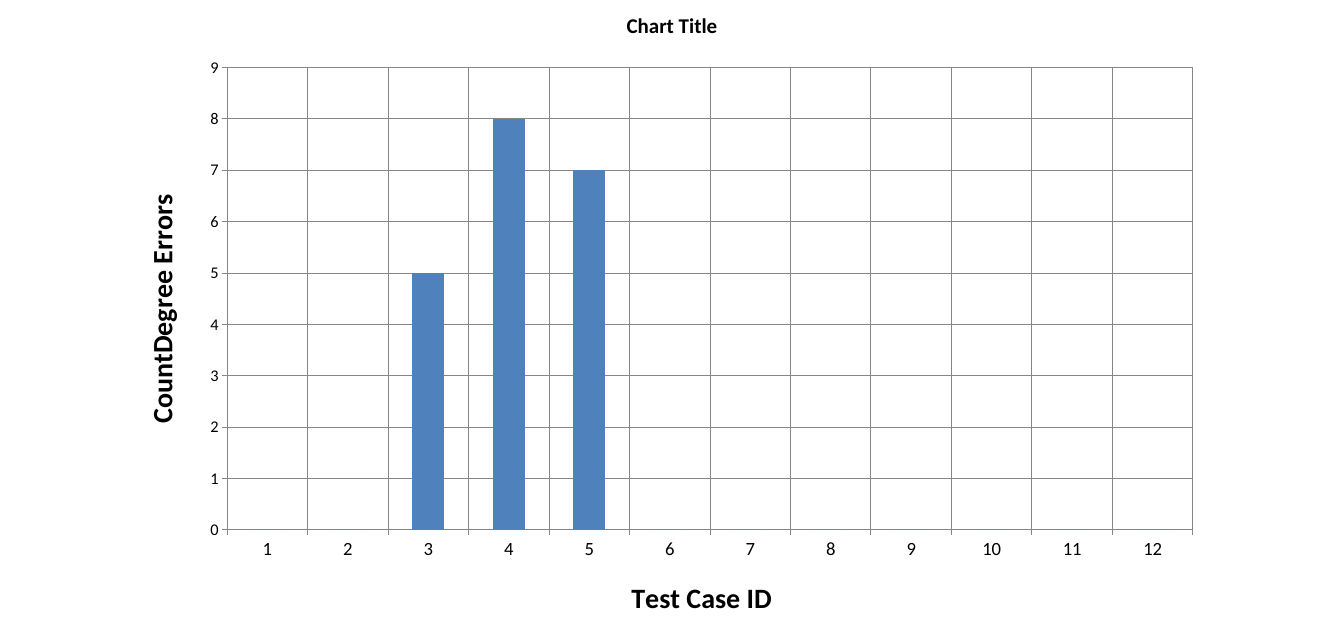
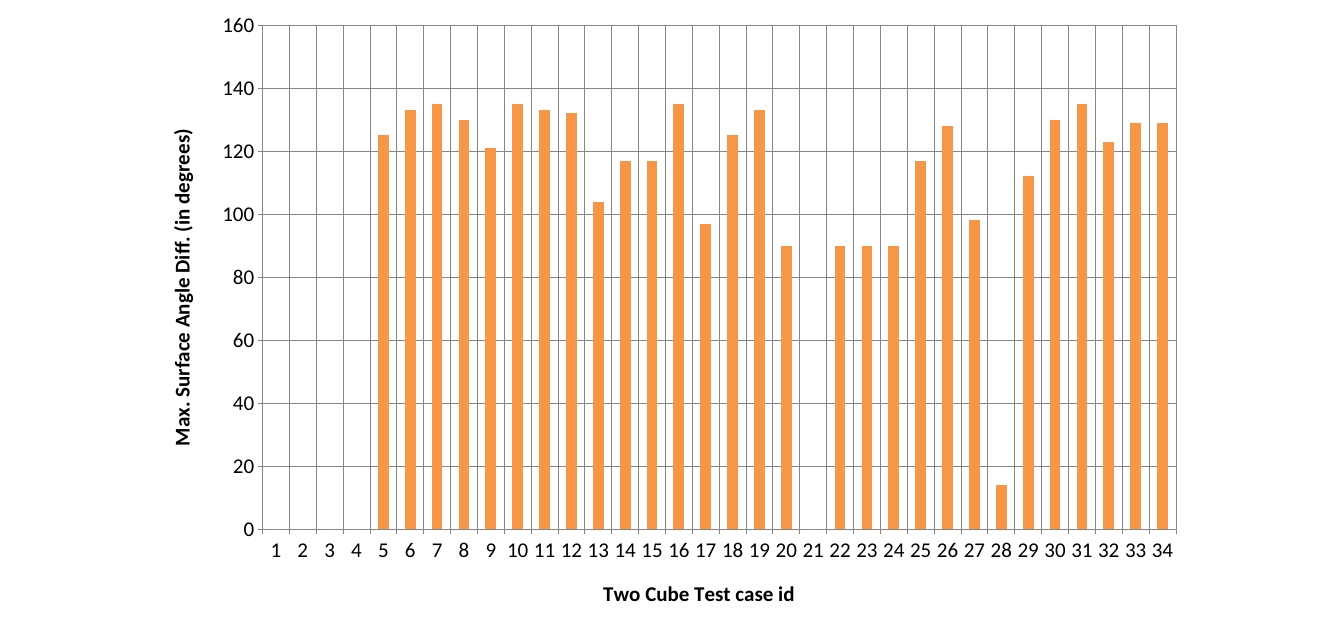
from dataclasses import dataclass
from typing import Optional

from pptx import Presentation
from pptx.chart.data import CategoryChartData
from pptx.dml.color import RGBColor
from pptx.enum.chart import XL_CHART_TYPE, XL_TICK_MARK
from pptx.oxml import parse_xml
from pptx.oxml.ns import nsdecls, qn
from pptx.util import Inches, Pt


# Colours and type sizes
@dataclass(frozen=True)
class Theme:
    font: str = "Calibri"
    ink: str = "000000"
    grid: str = "868686"
    blue: str = "4F81BD"
    orange: str = "F79646"
    line: float = 0.75
    small: int = 14
    label: int = 16
    text: int = 18
    large: int = 24


THEME = Theme()

# Slide grid: 64 columns by 60 rows
WIDTH, HEIGHT = Inches(16), Inches(7.5)
COL, ROW = WIDTH / 64, HEIGHT / 60


@dataclass(frozen=True)
class Axis:
    title: str
    title_size: int
    size: int


@dataclass(frozen=True)
class Graph:
    place: tuple[float, float, float, float]  # columns and rows
    plot: tuple[float, float, float, float]  # shares of the chart
    cases: Axis
    values: Axis
    top: int
    step: int
    color: str
    data: tuple[int, ...]
    title: Optional[str] = None


GRAPHS = (
    Graph(
        place=(6.16, -1, 51.68, 62),
        plot=(0.09, 0.12, 0.89, 0.71),
        cases=Axis("Test Case ID", THEME.large, THEME.label),
        values=Axis("CountDegree Errors", THEME.large, THEME.small),
        top=9,
        step=1,
        color=THEME.blue,
        data=(0, 0, 5, 8, 7, 0, 0, 0, 0, 0, 0, 0),
        title="Chart Title",
    ),
    Graph(
        place=(7, 0, 50, 60),
        plot=(0.11, 0.04, 0.87, 0.8),
        cases=Axis("Two Cube Test case id", THEME.text, THEME.text),
        values=Axis("Max. Surface Angle Diff. (in degrees)", THEME.text, THEME.text),
        top=160,
        step=20,
        color=THEME.orange,
        data=(0, 0, 0, 0, 125, 133, 135, 130, 121, 135, 133, 132,
              104, 117, 117, 135, 97, 125, 133, 90, 0, 90, 90, 90,
              117, 128, 98, 14, 112, 130, 135, 123, 129, 129),
    ),
)


def set_font(font, size: int, bold: bool = False) -> None:
    font.name = THEME.font
    font.size = Pt(size)
    font.bold = bold
    font.color.rgb = RGBColor.from_string(THEME.ink)


def set_title(owner, text: str, size: int) -> None:
    run = owner.text_frame.paragraphs[0].add_run()
    run.text = text
    set_font(run.font, size, bold=True)


def set_line(line) -> None:
    line.color.rgb = RGBColor.from_string(THEME.grid)
    line.width = Pt(THEME.line)


def style_axis(axis, look: Axis) -> None:
    axis.has_major_gridlines = True
    axis.major_tick_mark = XL_TICK_MARK.OUTSIDE
    axis.minor_tick_mark = XL_TICK_MARK.NONE
    set_line(axis.major_gridlines.format.line)
    set_line(axis.format.line)
    set_font(axis.tick_labels.font, look.size)
    set_title(axis.axis_title, look.title, look.title_size)


def place_plot(chart, shares: tuple[float, float, float, float]) -> None:
    """Fix the inner plot area, which needs XML."""
    area = chart._chartSpace.chart.plotArea
    for old in area.findall(qn("c:layout")):
        area.remove(old)
    sides = "".join(f'<c:{tag} val="{share}"/>' for tag, share in zip("xywh", shares))
    area.insert(0, parse_xml(
        f'<c:layout {nsdecls("c")}><c:manualLayout><c:layoutTarget val="inner"/>'
        f'<c:xMode val="edge"/><c:yMode val="edge"/>{sides}'
        "</c:manualLayout></c:layout>"
    ))


def draw_graph(slide, graph: Graph) -> None:
    # Data and frame
    data = CategoryChartData()
    data.categories = [str(n) for n in range(1, len(graph.data) + 1)]
    data.add_series("Series 1", graph.data)
    left, top, width, height = graph.place
    chart = slide.shapes.add_chart(
        XL_CHART_TYPE.COLUMN_CLUSTERED,
        round(left * COL), round(top * ROW), round(width * COL), round(height * ROW),
        data,
    ).chart
    set_font(chart.font, THEME.text)
    chart.has_legend = False
    chart.has_title = graph.title is not None
    if graph.title:
        set_title(chart.chart_title, graph.title, THEME.text)

    # Axes
    style_axis(chart.category_axis, graph.cases)
    style_axis(chart.value_axis, graph.values)
    chart.value_axis.minimum_scale = 0
    chart.value_axis.maximum_scale = graph.top
    chart.value_axis.major_unit = graph.step

    # Bars
    bars = chart.plots[0]
    bars.gap_width = 150
    bars.vary_by_categories = False
    fill = bars.series[0].format.fill
    fill.solid()
    fill.fore_color.rgb = RGBColor.from_string(graph.color)
    place_plot(chart, graph.plot)


def main() -> None:
    deck = Presentation()
    deck.slide_width, deck.slide_height = WIDTH, HEIGHT
    for graph in GRAPHS:
        draw_graph(deck.slides.add_slide(deck.slide_layouts[6]), graph)
    deck.save("out.pptx")


if __name__ == "__main__":
    main()
